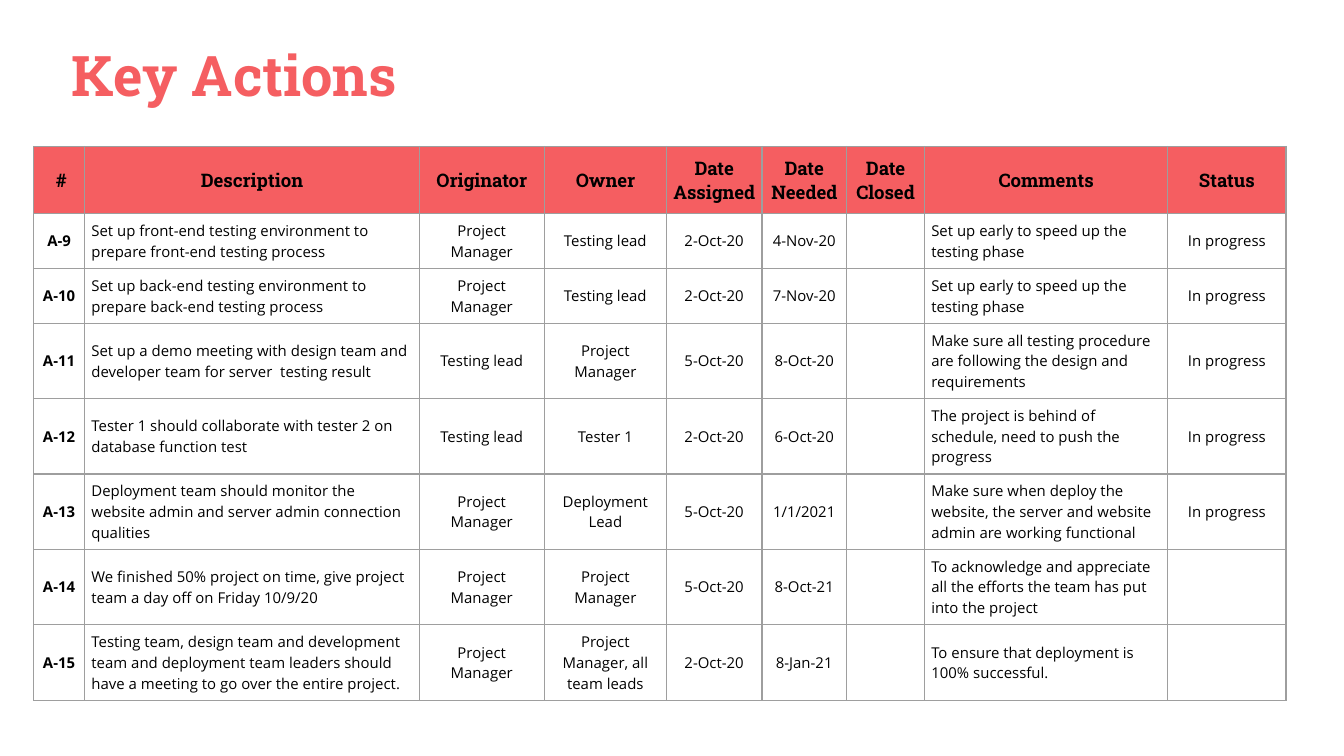
from lxml import etree
from pptx import Presentation
from pptx.dml.color import RGBColor
from pptx.enum.text import MSO_ANCHOR, MSO_AUTO_SIZE, PP_ALIGN
from pptx.oxml.ns import qn
from pptx.util import Inches, Pt

LEFT, CENTER = PP_ALIGN.LEFT, PP_ALIGN.CENTER
TOP, MIDDLE = MSO_ANCHOR.TOP, MSO_ANCHOR.MIDDLE
NONE = MSO_AUTO_SIZE.NONE
CORAL = RGBColor(0xF5, 0x5E, 0x61)
BLACK = RGBColor(0, 0, 0)
GRAY = RGBColor(0x9E, 0x9E, 0x9E)

TITLE = {"name": "Roboto Slab", "size": Pt(30), "bold": True}
HEAD = {"name": "Roboto Slab", "size": Pt(10), "bold": True}
KEY = {"name": "Open Sans", "size": Pt(8), "bold": True}
BODY = {"name": "Open Sans", "size": Pt(8), "bold": False}
SIDES = ("left", "right", "top", "bottom")

PM, LEAD, BUSY = "Project Manager", "Testing lead", "In progress"
EARLY = "Set up early to speed up the testing phase"
WIDTHS = (0.38, 2.49, 0.93, 0.91, 0.71, 0.63, 0.58, 1.81, 0.88)
HEIGHTS = (0.5, 0.37, 0.37, 0.54, 0.37, 0.54, 0.54, 0.54)
ROWS = (
    (" #", "Description", "Originator", "Owner", "Date Assigned",
     "Date Needed", "Date Closed", "Comments", "Status"),
    ("A-9", "Set up front-end testing environment to prepare front-end testing process",
     PM, LEAD, "2-Oct-20", "4-Nov-20", "", EARLY, BUSY),
    ("A-10", "Set up back-end testing environment to prepare back-end testing process",
     PM, LEAD, "2-Oct-20", "7-Nov-20", "", EARLY, BUSY),
    ("A-11", "Set up a demo meeting with design team and developer team for server  testing result",
     LEAD, PM, "5-Oct-20", "8-Oct-20", "",
     "Make sure all testing procedure are following the design and requirements", BUSY),
    ("A-12", "Tester 1 should collaborate with tester 2 on database function test",
     LEAD, "Tester 1", "2-Oct-20", "6-Oct-20", "",
     "The project is behind of schedule, need to push the progress", BUSY),
    ("A-13", "Deployment team should monitor the website admin and server admin connection qualities",
     PM, "Deployment Lead", "5-Oct-20", "1/1/2021", "",
     "Make sure when deploy the website, the server and website admin are working functional", BUSY),
    ("A-14", "We finished 50% project on time, give project team a day off on Friday 10/9/20",
     PM, PM, "5-Oct-20", "8-Oct-21", "",
     "To acknowledge and appreciate all the efforts the team has put into the project", ""),
    ("A-15", "Testing team, design team and development team and deployment team leaders "
     "should have a meeting to go over the entire project.",
     PM, "Project Manager, all team leads", "2-Oct-20", "8-Jan-21", "",
     "To ensure that deployment is 100% successful.", ""),
)


def write(par, text, look, color, align):
    par.alignment = align
    run = par.add_run()
    run.text = text
    for key, value in look.items():
        setattr(run.font, key, value)
    run.font.color.rgb = color


def border(cell):
    props = cell._tc.get_or_add_tcPr()
    for side in "LRTB":
        line = etree.SubElement(props, qn(f"a:ln{side}"), w=str(Pt(0.75)))
        fill = etree.SubElement(line, qn("a:solidFill"))
        etree.SubElement(fill, qn("a:srgbClr"), val=str(GRAY))


deck = Presentation()
deck.slide_width, deck.slide_height = Inches(10), Inches(10 * 9 / 16)
slide = deck.slides.add_slide(deck.slide_layouts[5])

title = slide.shapes.title
title.left, title.top = Inches(0.43), Inches(0.2)
title.width, title.height = Inches(8.2), Inches(0.89)
frame = title.text_frame
frame.auto_size, frame.vertical_anchor, frame.word_wrap = NONE, TOP, True
for side in SIDES:
    setattr(frame, f"margin_{side}", Inches(0.1))
write(frame.paragraphs[0], "Key Actions", TITLE, CORAL, LEFT)

table = slide.shapes.add_table(
    len(ROWS), len(WIDTHS), Inches(0.25), Inches(1.09),
    Inches(sum(WIDTHS)), Inches(sum(HEIGHTS))).table
table.first_row = table.horz_banding = False
for col, width in zip(table.columns, WIDTHS):
    col.width = Inches(width)

for r, (height, row) in enumerate(zip(HEIGHTS, ROWS)):
    table.rows[r].height = Inches(height)
    for c, text in enumerate(row):
        cell = table.cell(r, c)
        border(cell)
        cell.vertical_anchor = MIDDLE
        for side in SIDES:
            setattr(cell, f"margin_{side}", Inches(0.05))
        if r == 0:
            cell.fill.solid()
            cell.fill.fore_color.rgb = CORAL
        else:
            cell.fill.background()
        if text:
            look = HEAD if r == 0 else KEY if c == 0 else BODY
            align = LEFT if r and c in (1, 7) else CENTER
            write(cell.text_frame.paragraphs[0], text, look, BLACK, align)

deck.save("out.pptx")
